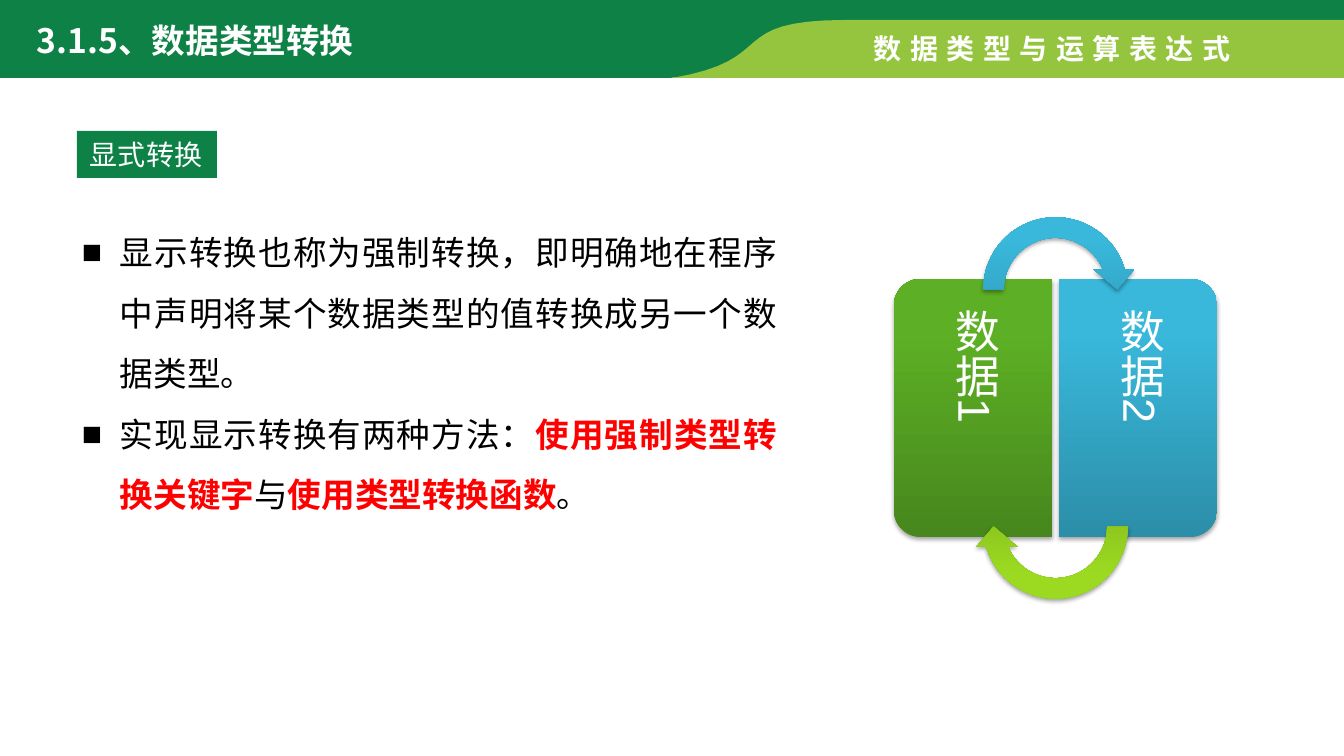
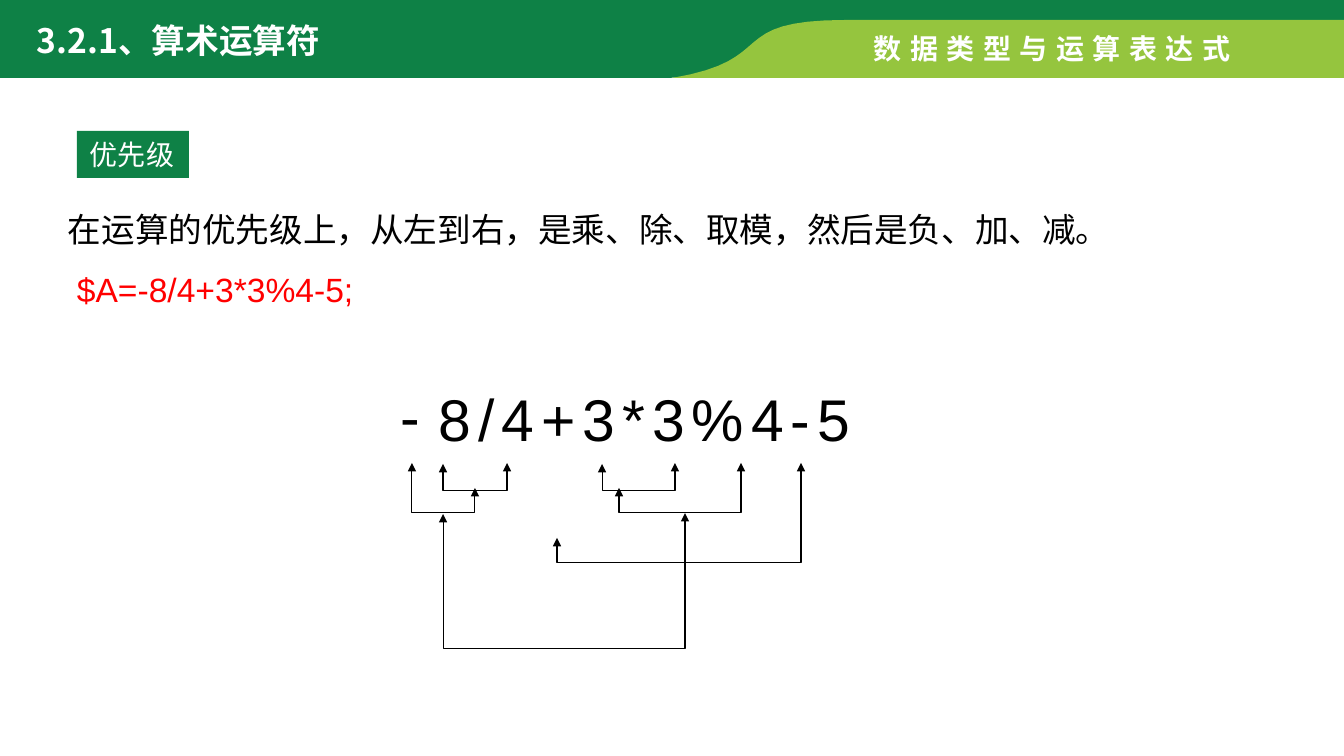
from lxml import etree
from pptx import Presentation
from pptx import util as u
from pptx.dml.color import RGBColor
from pptx.enum import shapes, text
from pptx.oxml.ns import qn

PX = 914400 / 100.8
SANS = "Noto Sans CJK SC"
INK = {
    "green": "0E8146",
    "lime": "95C53E",
    "white": "FFFFFF",
    "black": "000000",
    "red": "FF0000",
}
GRADS = {
    "leaf": ("47871D", "5DB025"),
    "sky": ("2C8EA9", "39B8DB"),
    "grass": ("77A819", "9BDA21"),
}


def emu(*vals):
    return [u.Emu(round(v * PX)) for v in vals]


def rgb(name):
    return RGBColor.from_string(INK.get(name, name))


def node(parent, tag, **attrs):
    return etree.SubElement(parent, qn(tag), {k: str(v) for k, v in attrs.items()})


def style(para, size, color, face="Arial", bold=False, space=0):
    font = para.font
    font.size = u.Pt(size)
    font.bold = bold
    font.name = face
    font.color.rgb = rgb(color)
    props = para._p.pPr.find(qn("a:defRPr"))
    node(props, "a:ea", typeface=SANS)
    if space:
        props.set("spc", str(space * 100))


def indent(para, left, hang=0, mark=None):
    props = para._p.get_or_add_pPr()
    props.set("marL", str(emu(left)[0]))
    props.set("indent", str(emu(-hang)[0]))
    if mark:
        face = node(props, "a:buFont", typeface="Arial")
        char = node(props, "a:buChar", char=mark)
        end = props.find(qn("a:defRPr"))
        if end is not None:
            end.addprevious(face)
            end.addprevious(char)


def area(slide, x, y, w, h):
    frame = slide.shapes.add_textbox(*emu(x, y, w, h)).text_frame
    frame.word_wrap = True
    return frame


def label(slide, box, words, *look):
    para = area(slide, *box).paragraphs[0]
    para.text = words
    style(para, *look)
    return para


def paint(shape, color):
    shape.shadow.inherit = False
    shape.line.fill.background()
    shape.fill.solid()
    shape.fill.fore_color.rgb = rgb(color)


def gloss(shape, grad):
    shape.shadow.inherit = False
    shape.line.fill.background()
    fill = shape.fill
    fill.gradient()
    fill.gradient_angle = 90
    for stop, place, color in zip(fill.gradient_stops, (0, 0.8), GRADS[grad]):
        stop.position = place
        stop.color.rgb = rgb(color)
    effects = shape.element.spPr.find(qn("a:effectLst"))
    shade = node(effects, "a:outerShdw", blurRad=40000, dist=23000,
                 dir=5400000, rotWithShape=0)
    node(node(shade, "a:srgbClr", val=INK["black"]), "a:alpha", val=35000)


def trace(steps, count=16):
    points = []
    for step in steps:
        if len(step) == 2:
            points.append(step)
            continue
        knots = [points[-1], step[:2], step[2:4], step[4:]]
        for i in range(1, count + 1):
            t = i / count
            parts = ((1 - t) ** 3, 3 * t * (1 - t) ** 2, 3 * t * t * (1 - t), t ** 3)
            points.append(tuple(sum(k * p[a] for k, p in zip(parts, knots))
                                for a in (0, 1)))
    return points


def outline(slide, x, y, points):
    dots = [emu(x + a, y + b) for a, b in points]
    pen = slide.shapes.build_freeform(*dots[0])
    pen.add_line_segments(dots[1:], close=True)
    return pen.convert_to_shape()


def header(slide, x, y, title):
    wave = [(0, -3), (1344, -3), (1344, 24), (834, 24), (815, 28),
            (733, 44, 776, 78, 660, 78), (0, 78)]
    ribbon = [(846, 20), (1344, 20), (1344, 78), (672, 78),
              (781, 60, 723, 20, 846, 20)]
    for steps, color in ((wave, "green"), (ribbon, "lime")):
        paint(outline(slide, x, y, trace(steps)), color)
    label(slide, (x + 864, y + 27, 400, 44), "数据类型与运算表达式",
          20, "white", "Arial", True, 6)
    label(slide, (x + 27, y + 15, 380, 50), title, 24, "white", SANS, True)


def badge(slide, x, y, words):
    width = 28 * len(words) + 28
    shape = slide.shapes.add_shape(shapes.MSO_SHAPE.RECTANGLE,
                                   *emu(x, y, width, 47))
    paint(shape, "green")
    frame = shape.text_frame
    frame.word_wrap = False
    frame.margin_left, frame.margin_right = emu(13, 13)
    frame.margin_top, frame.margin_bottom = emu(7, 7)
    para = frame.paragraphs[0]
    para.text = words
    para.alignment = text.PP_ALIGN.LEFT
    style(para, 20, "white")


def points(slide, box, items):
    frame = area(slide, *box)
    for i, runs in enumerate(items):
        para = frame.add_paragraph() if i else frame.paragraphs[0]
        para.alignment = text.PP_ALIGN.JUSTIFY
        para.line_spacing = 1.5
        style(para, 24, "black", SANS)
        indent(para, 38, 38, "■")
        for words, strong in runs:
            run = para.add_run()
            run.text = words
            if strong:
                run.font.bold = True
                run.font.color.rgb = rgb("red")


def card(slide, x, y, words, grad, flip):
    w, h, r, c = 158, 258, 26, 12
    edge = trace([(0, h - r), (0, r), (0, c, c, 0, r, 0), (w, 0), (w, h),
                  (r, h), (c, h, 0, h - c, 0, h - r)])
    if flip:
        edge = [(w - a, b) for a, b in edge]
    shape = outline(slide, x, y, edge)
    gloss(shape, grad)
    frame = shape.text_frame
    frame.word_wrap = True
    frame.vertical_anchor = text.MSO_ANCHOR.MIDDLE
    frame.margin_left, frame.margin_right = emu(20, 20)
    frame.margin_top, frame.margin_bottom = emu(30, 30)
    shape.element.txBody.find(qn("a:bodyPr")).set("vert", "eaVert")
    para = frame.paragraphs[0]
    para.text = words
    para.alignment = text.PP_ALIGN.LEFT
    para.line_spacing = 0.9
    style(para, 32, "white")


def cycle(slide, x, y):
    for i, grad in enumerate(("leaf", "sky")):
        card(slide, x + 165 * i, y + 72, f"数据{i + 1}", grad, i == 1)
    for i, grad in enumerate(("sky", "grass")):
        arrow = slide.shapes.add_shape(shapes.MSO_SHAPE.CIRCULAR_ARROW,
                                       *emu(x + 79, y + 237 * i, 165, 165))
        for n, value in enumerate((1 / 8, 11.42, 204.58, 108, 1 / 8)):
            arrow.adjustments[n] = value
        arrow.rotation = 180 * i
        gloss(arrow, grad)


def bracket(group, x, y, left, top, right, peak, base):
    flip = top < peak
    high = min(top, peak)
    tall, wide = max(abs(top - peak), 1), right - left
    midx, midy = x + (left + right) / 2, y + high + tall / 2
    ends = [midx - tall / 2, midx + tall / 2]
    if flip:
        ends.reverse()
    link = group.shapes.add_connector(
        shapes.MSO_CONNECTOR.ELBOW,
        *emu(ends[0], midy - wide / 2, ends[1], midy + wide / 2))
    link.line.width = u.Pt(0.75)
    link.line.color.rgb = rgb("black")
    props = link.element.spPr
    props.find(qn("a:xfrm")).set("rot", str((270 if flip else 90) * 60000))
    bend = round((base - high) / tall * 100000)
    node(props.find(qn("a:prstGeom")).find(qn("a:avLst")), "a:gd",
         name="adj1", fmla=f"val {bend}")
    for tip in ("a:headEnd", "a:tailEnd"):
        node(props.find(qn("a:ln")), tip, type="triangle")
    node(props, "a:effectLst")


def formula(slide, x, y):
    group = slide.shapes.add_group_shape()
    shape = group.shapes.add_shape(shapes.MSO_SHAPE.RECTANGLE,
                                   *emu(x, y, 444, 80))
    paint(shape, "white")
    frame = shape.text_frame
    frame.word_wrap = False
    frame.vertical_anchor = text.MSO_ANCHOR.TOP
    para = frame.paragraphs[0]
    para.text = "8/4+3*3%4-5"
    para.alignment = text.PP_ALIGN.JUSTIFY
    style(para, 42, "black", "Arial", False, 5)
    indent(para, 38, 38, "-")
    for legs in ((211, 85, 284, 85, 113), (52, 85, 116, 85, 113),
                 (228, 110, 350, 85, 135), (21, 85, 84, 110, 135),
                 (52, 135, 294, 135, 272), (166, 160, 410, 85, 185)):
        bracket(group, x, y, *legs)


def rule(slide, box, words, code):
    para = label(slide, box, words, 24, "black")
    para.alignment = text.PP_ALIGN.JUSTIFY
    para = slide.shapes[-1].text_frame.add_paragraph()
    para.text = code
    para.line_spacing = 1.5
    style(para, 24, "red")
    indent(para, 9)


def page(deck, title, topic):
    slide = deck.slides.add_slide(deck.slide_layouts[6])
    header(slide, 0, 0, title)
    badge(slide, 77, 131, topic)
    return slide


def main():
    deck = Presentation()
    deck.slide_width, deck.slide_height = emu(1344, 756)

    slide = page(deck, "3.1.5、数据类型转换", "显式转换")
    points(slide, (72, 207, 715, 316), [
        [("显示转换也称为强制转换，即明确地在程序中声明将某个数据类型的值转换成另一个数据类型。", False)],
        [("实现显示转换有两种方法：", False), ("使用强制类型转换关键字", True),
         ("与", False), ("使用类型转换函数", True), ("。", False)],
    ])
    cycle(slide, 894, 207)

    slide = page(deck, "3.2.1、算术运算符", "优先级")
    rule(slide, (58, 204, 1157, 112),
         "在运算的优先级上，从左到右，是乘、除、取模，然后是负、加、减。",
         "$A=-8/4+3*3%4-5;")
    formula(slide, 391, 378)

    deck.save("out.pptx")


if __name__ == "__main__":
    main()
